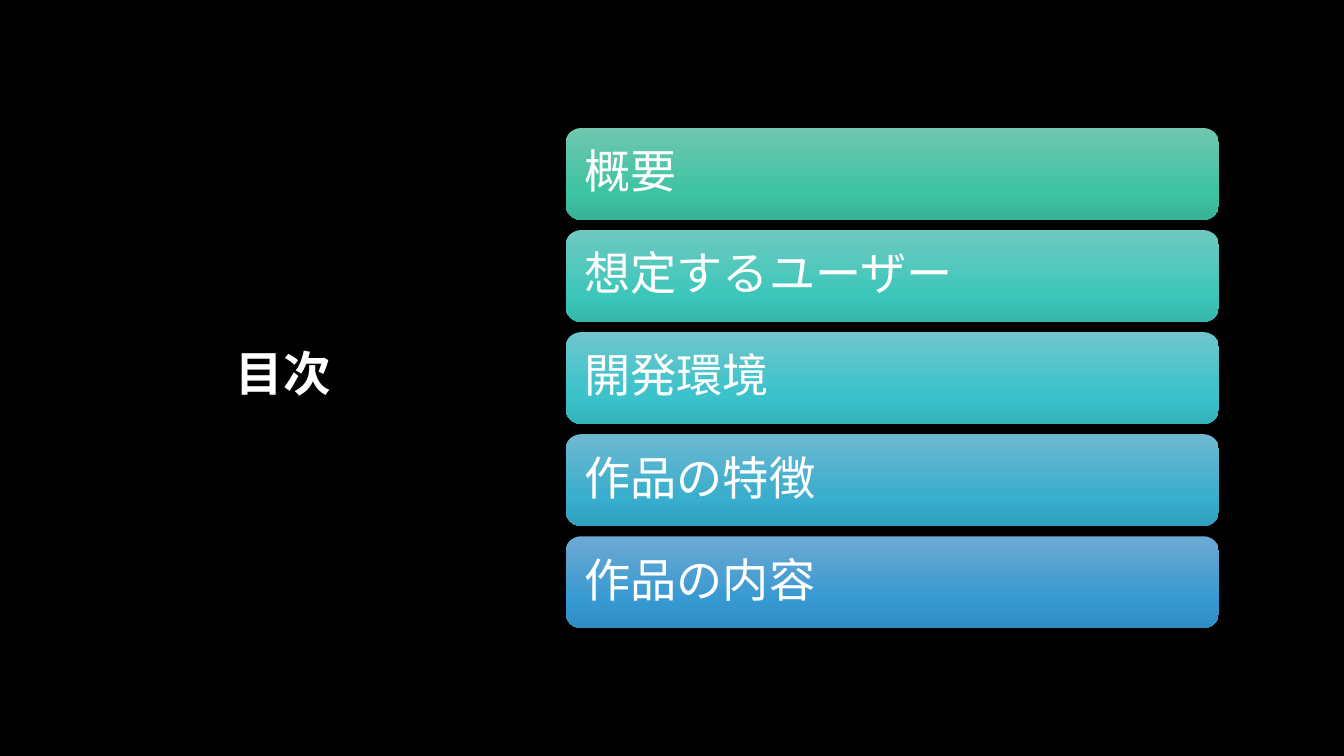
from copy import deepcopy
from dataclasses import dataclass

from pptx import Presentation
from pptx import util as u
from pptx.dml.color import RGBColor
from pptx.enum import shapes, text
from pptx.oxml.ns import qn
from pptx.slide import Slide
from pptx.text.text import TextFrame

FONT = "TeX Gyre Bonum"
WHITE = "FFFFFF"
BAR_LEFT, BAR_TOP = 5.61, 1.27
BAR_WIDTH, BAR_HEIGHT = 6.48, 0.91
BAR_PITCH = 1.0125
STOP_POSITIONS = (0, 0.69, 1)


@dataclass(frozen=True)
class Topic:
    label: str
    shades: tuple[str, str, str]


TOPICS = (
    Topic("概要", ("70C6AF", "3EC4A3", "37B395")),
    Topic("想定するユーザー", ("6FC9C0", "3DC7BA", "35B7AB")),
    Topic("開発環境", ("6EC6CC", "3BC2CB", "33B2BA")),
    Topic("作品の特徴", ("6EB8CF", "39AECE", "31A0BE")),
    Topic("作品の内容", ("6DAAD2", "3799D2", "2F8CC2")),
)


def color(value: str) -> RGBColor:
    return RGBColor.from_string(value)


def write(frame: TextFrame, words: str, *, size: float, bold: bool = False,
          align: text.PP_ALIGN = text.PP_ALIGN.LEFT) -> None:
    frame.word_wrap = True
    frame.auto_size = text.MSO_AUTO_SIZE.NONE
    frame.vertical_anchor = text.MSO_ANCHOR.MIDDLE
    para = frame.paragraphs[0]
    para.alignment = align
    para.line_spacing = 0.9
    span = para.add_run()
    span.text = words
    span.font.name = FONT
    span.font.size = u.Pt(size)
    span.font.bold = bold
    span.font.color.rgb = color(WHITE)


def add_title(page: Slide, words: str) -> None:
    title = page.shapes.title
    title.left, title.top = u.Inches(0.82), u.Inches(0.67)
    title.width, title.height = u.Inches(3.98), u.Inches(6.13)
    write(title.text_frame, words, size=34, bold=True, align=text.PP_ALIGN.CENTER)


def add_bar(page: Slide, topic: Topic, top: float) -> None:
    bar = page.shapes.add_shape(
        shapes.MSO_SHAPE.ROUNDED_RECTANGLE, u.Inches(BAR_LEFT), u.Inches(top),
        u.Inches(BAR_WIDTH), u.Inches(BAR_HEIGHT))
    bar.shadow.inherit = False
    bar.line.fill.background()

    bar.fill.gradient()
    bar.fill.gradient_angle = 270
    stop_list = bar.fill._xPr.find(qn("a:gradFill")).find(qn("a:gsLst"))
    stop_list.append(deepcopy(stop_list[-1]))
    for stop, position, shade in zip(bar.fill.gradient_stops, STOP_POSITIONS, topic.shades):
        stop.position = position
        stop.color.rgb = color(shade)

    frame = bar.text_frame
    frame.margin_left = frame.margin_right = u.Inches(0.14)
    frame.margin_top = frame.margin_bottom = u.Inches(0.14)
    write(frame, topic.label, size=33)


def main() -> None:
    deck = Presentation()
    deck.slide_width, deck.slide_height = u.Inches(13.33), u.Inches(7.5)
    page = deck.slides.add_slide(deck.slide_layouts[5])
    page.background.fill.solid()
    page.background.fill.fore_color.rgb = color("000000")
    add_title(page, "目次")
    for row, topic in enumerate(TOPICS):
        add_bar(page, topic, BAR_TOP + row * BAR_PITCH)
    deck.save("out.pptx")


if __name__ == "__main__":
    main()
